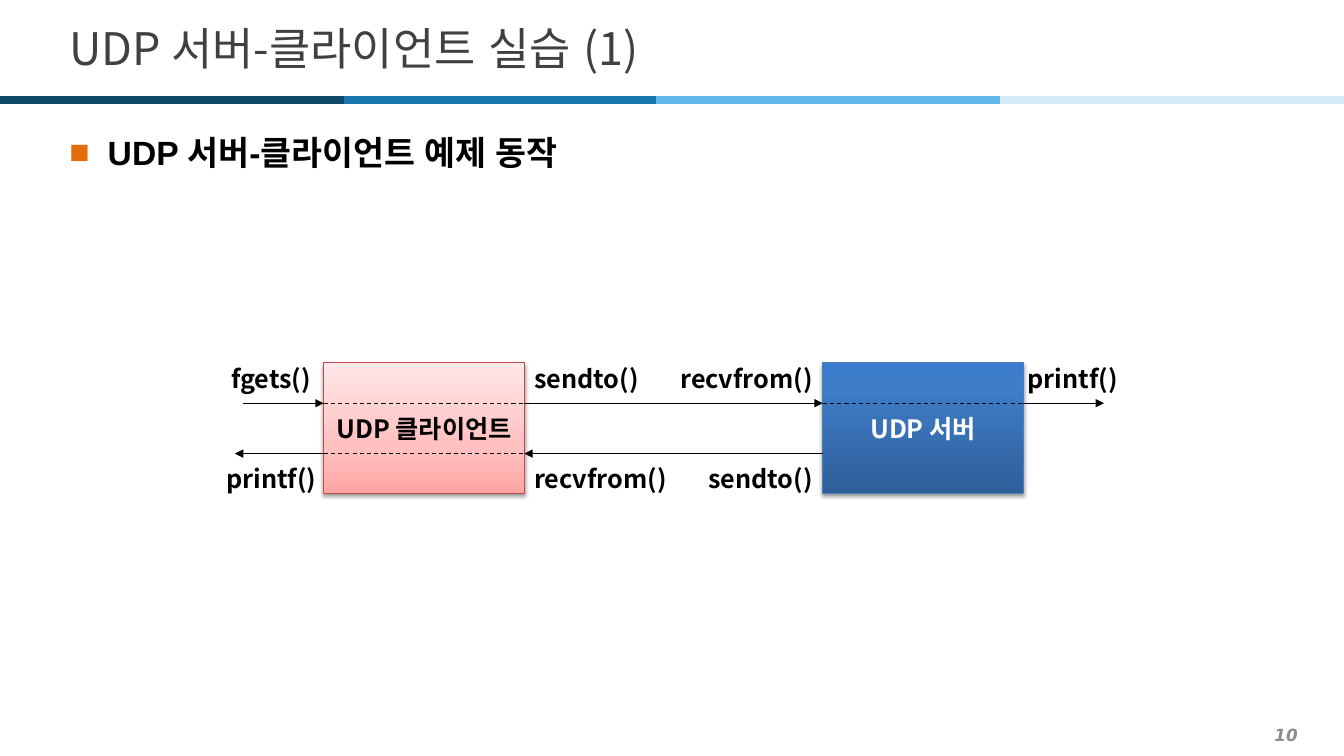
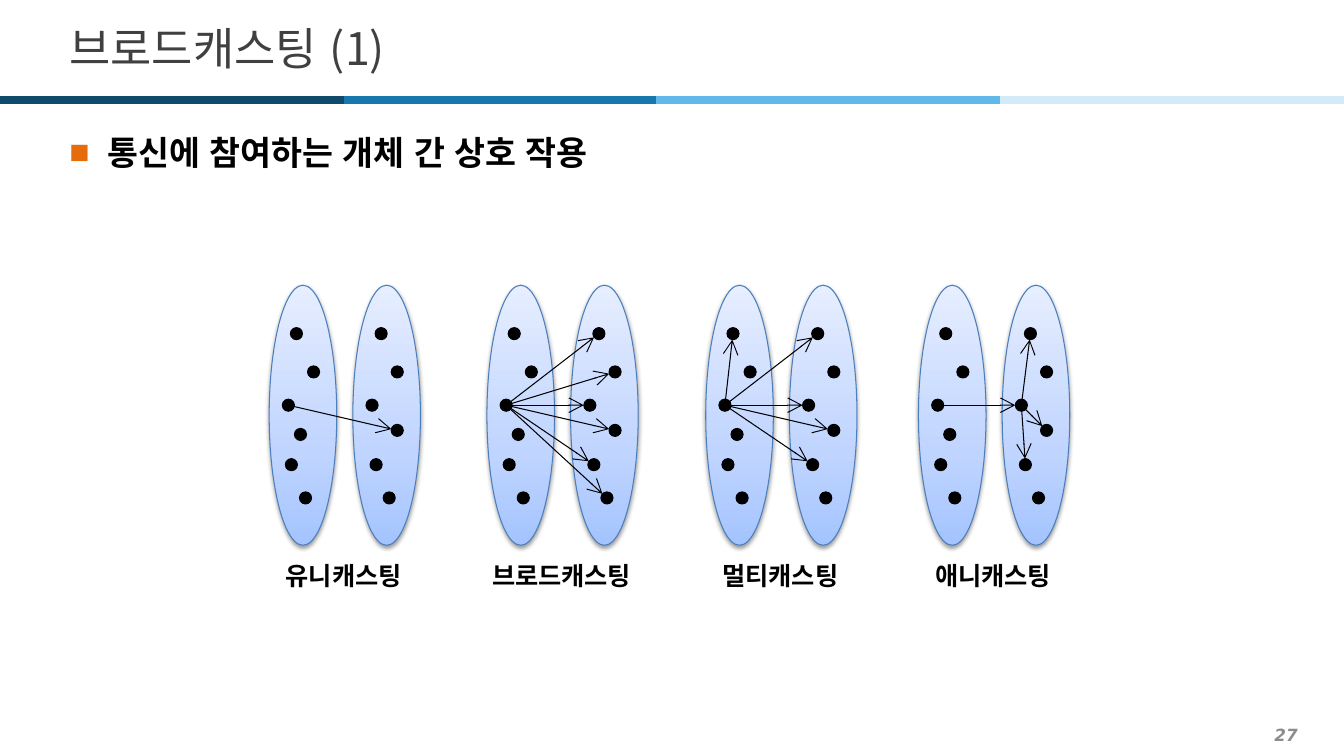
from math import hypot

from lxml.etree import SubElement
from pptx import Presentation
from pptx.dml.color import RGBColor
from pptx.enum.dml import MSO_LINE
from pptx.enum.shapes import MSO_CONNECTOR, MSO_SHAPE
from pptx.enum.text import MSO_ANCHOR as ANCHOR, PP_ALIGN as ALIGN
from pptx.oxml.ns import qn
from pptx.util import Inches, Pt

KOREAN = "Noto Sans CJK KR"

THEME = {
    "bands": ["0F4A6B", "1877AC", "61B8E9", "D3EBF9"],
    "bullet": "E46C0A",
    "ink": "000000",
    # Gradients run from bottom to top: (percent, colour)
    "client": {"stops": [(0, "FFA6A5"), (35, "FFC0BF"), (100, "FFE7E7")], "line": "BF4C48"},
    "server": {"stops": [(0, "2F5F99"), (80, "3D7CC7"), (100, "3A7CCB")], "line": "4B7EBC"},
    "group": {"stops": [(0, "A4C4FF"), (35, "BFD4FF"), (100, "E6EEFF")], "line": "4B7EBC"},
    "dot": {"solid": "000000", "line": "000000"},
    # Text styles: colour, East Asian font and font attributes
    "title": ("404040", "Arial", {"name": KOREAN, "size": Pt(32)}),
    "heading": ("000000", "Arial", {"name": "Arial", "size": Pt(24), "bold": True}),
    "label": ("000000", KOREAN, {"name": KOREAN, "size": Pt(18), "bold": True}),
    "label_light": ("FFFFFF", KOREAN, {"name": KOREAN, "size": Pt(18), "bold": True}),
    "number": ("8C8C8C", KOREAN,
               {"name": "DejaVu Sans", "size": Pt(12), "bold": True, "italic": True}),
}


def add_part(slide, box, preset=None, look=None, text="", style="label",
             align=ALIGN.CENTER, anchor=ANCHOR.MIDDLE, wrap=False):
    """Add a text box, or a preset shape with a look, and return it."""
    box = [Inches(length) for length in box]
    if preset is None:
        part = slide.shapes.add_textbox(*box)
    else:
        part = slide.shapes.add_shape(preset, *box)
        part.shadow.inherit = False
        part.line.color.rgb = RGBColor.from_string(look["line"])
        part.line.width = Pt(0.75)
        if "solid" in look:
            part.fill.solid()
            part.fill.fore_color.rgb = RGBColor.from_string(look["solid"])
        else:
            part.fill.gradient()
            part.fill.gradient_angle = 90
            stops = part._element.spPr.find(".//" + qn("a:gsLst"))
            for old_stop in list(stops):
                stops.remove(old_stop)
            for percent, colour in look["stops"]:
                stop = SubElement(stops, qn("a:gs"), pos=str(percent * 1000))
                SubElement(stop, qn("a:srgbClr"), val=colour)
            effects = part._element.spPr.find(qn("a:effectLst"))
            shadow = SubElement(effects, qn("a:outerShdw"), blurRad=str(Pt(3.1)),
                                dist=str(Pt(1.6)), dir="5400000", rotWithShape="0")
            tint = SubElement(shadow, qn("a:srgbClr"), val="000000")
            SubElement(tint, qn("a:alpha"), val="38000")
    if text:
        frame = part.text_frame
        frame.word_wrap = wrap
        frame.vertical_anchor = anchor
        paragraph = frame.paragraphs[0]
        paragraph.alignment = align
        run = paragraph.add_run()
        run.text = text
        colour, east_asian, font_values = THEME[style]
        for attribute, value in font_values.items():
            setattr(run.font, attribute, value)
        run.font.color.rgb = RGBColor.from_string(colour)
        SubElement(run._r.get_or_add_rPr(), qn("a:ea"), typeface=east_asian)
    return part


def add_line(slide, start, end, colour=THEME["ink"], width=0.75, arrow=None,
             arrow_size="med", dash=None):
    """Draw a straight line, with an optional arrowhead at its end."""
    ends = [Inches(length) for length in (*start, *end)]
    connector = slide.shapes.add_connector(MSO_CONNECTOR.STRAIGHT, *ends)
    connector.line.color.rgb = RGBColor.from_string(colour)
    connector.line.width = Pt(width)
    if dash:
        connector.line.dash_style = dash
    properties = connector._element.spPr
    if arrow:
        SubElement(properties.find(qn("a:ln")), qn("a:tailEnd"), type=arrow,
                   w=arrow_size, len=arrow_size)
    SubElement(properties, qn("a:effectLst"))


deck = Presentation()
deck.slide_width, deck.slide_height = Inches(13.33), Inches(7.5)

# Shared frame: number, colour bands, title and heading
BAND_EDGES = [0, 3.41, 6.51, 9.92, 13.33]
PAGES = [
    ("UDP 서버-클라이언트 실습 (1)", "UDP 서버-클라이언트 예제 동작", "10"),
    ("브로드캐스팅 (1)", "통신에 참여하는 개체 간 상호 작용", "27"),
]
slides = []
for title, heading, number in PAGES:
    slide = deck.slides.add_slide(deck.slide_layouts[6])
    slides.append(slide)
    add_part(slide, (0.2, 7.13, 12.77, 0.31), text=number, style="number",
             align=ALIGN.RIGHT, wrap=True)
    for left, right, colour in zip(BAND_EDGES, BAND_EDGES[1:], THEME["bands"]):
        add_line(slide, (left, 0.99), (right, 0.99), colour, width=6)
    add_part(slide, (0.59, 0.13, 12.21, 0.68), text=title, style="title",
             align=ALIGN.LEFT, wrap=True)
    body = add_part(slide, (0.59, 1.18, 12.21, 6.03), text=heading, style="heading",
                    align=ALIGN.LEFT, anchor=ANCHOR.TOP, wrap=True)
    paragraph = body.text_frame.paragraphs[0]
    paragraph.line_spacing = 1.2
    paragraph.space_after = Pt(2)
    indents = paragraph._p.get_or_add_pPr()
    indents.set("marL", str(Inches(0.38)))
    indents.set("indent", str(-Inches(0.38)))
    bullet_colour = SubElement(indents, qn("a:buClr"))
    SubElement(bullet_colour, qn("a:srgbClr"), val=THEME["bullet"])
    SubElement(indents, qn("a:buFont"), typeface="Arial")
    SubElement(indents, qn("a:buChar"), char="■")

exchange, casting = slides

# Client and server boxes
CLIENT_LEFT, CLIENT_RIGHT, SERVER_LEFT, SERVER_RIGHT = 3.21, 5.2, 8.16, 10.15
REQUEST_Y, REPLY_Y = 4, 4.5
for left, look, text, style in [
    (CLIENT_LEFT, "client", "UDP 클라이언트", "label"),
    (SERVER_LEFT, "server", "UDP 서버", "label_light"),
]:
    add_part(exchange, (left, 3.6, 1.99, 1.3), MSO_SHAPE.RECTANGLE, THEME[look], text, style)

# Messages between them, and the dashed paths inside the boxes
for y, start, end in [
    (REQUEST_Y, 2.41, CLIENT_LEFT),
    (REQUEST_Y, CLIENT_RIGHT, SERVER_LEFT),
    (REQUEST_Y, SERVER_RIGHT, 10.95),
    (REPLY_Y, SERVER_LEFT, CLIENT_RIGHT),
    (REPLY_Y, CLIENT_LEFT, 2.33),
]:
    add_line(exchange, (start, y), (end, y), arrow="triangle")
for y, start, end in [
    (REQUEST_Y, CLIENT_LEFT, CLIENT_RIGHT),
    (REPLY_Y, CLIENT_LEFT, CLIENT_RIGHT),
    (REQUEST_Y, SERVER_LEFT, SERVER_RIGHT),
]:
    add_line(exchange, (start, y), (end, y), dash=MSO_LINE.DASH)

# Function calls above the request and below the reply
CALL_WIDTH = 1.6
CALL_TOP = 3.5
SERVER_CALL_LEFT = SERVER_LEFT - CALL_WIDTH
for call, left, top, align in [
    ("fgets()", 1.89, CALL_TOP, ALIGN.CENTER),
    ("sendto()", CLIENT_RIGHT, CALL_TOP, ALIGN.LEFT),
    ("recvfrom()", SERVER_CALL_LEFT, CALL_TOP, ALIGN.RIGHT),
    ("printf()", 9.84, CALL_TOP, ALIGN.CENTER),
    ("printf()", 1.89, REPLY_Y, ALIGN.CENTER),
    ("recvfrom()", CLIENT_RIGHT, REPLY_Y, ALIGN.LEFT),
    ("sendto()", SERVER_CALL_LEFT, REPLY_Y, ALIGN.RIGHT),
]:
    add_part(exchange, (left, top, CALL_WIDTH, 0.5), text=call, align=align)

# Casting modes: two groups of six dots; arrows join (group, dot) pairs
SENDER = (0, 2)
MODES = [
    ("유니캐스팅", 2.67, [(SENDER, (1, 3))]),
    ("브로드캐스팅", 4.83, [(SENDER, (1, dot)) for dot in range(6)]),
    ("멀티캐스팅", 7, [(SENDER, (0, 0))] + [(SENDER, (1, dot)) for dot in (0, 2, 3, 4)]),
    ("애니캐스팅", 9.11, [(SENDER, (1, 2))] + [((1, 2), (1, dot)) for dot in (0, 3, 4)]),
]
GROUP_TOP, GROUP_STEP, DOT = 2.83, 0.83, 0.12
DOT_OFFSETS = [
    [(0.21, 0.42), (0.38, 0.8), (0.13, 1.13), (0.25, 1.42), (0.16, 1.72), (0.3, 2.05)],
    [(0.22, 0.42), (0.38, 0.8), (0.13, 1.13), (0.38, 1.38), (0.17, 1.72), (0.3, 2.05)],
]
for mode, mode_left, routes in MODES:
    centres = {}
    for group, offsets in enumerate(DOT_OFFSETS):
        left = mode_left + group * GROUP_STEP
        add_part(casting, (left, GROUP_TOP, 0.67, 2.58), MSO_SHAPE.OVAL, THEME["group"])
        for dot, (dx, dy) in enumerate(offsets):
            x, y = left + dx, GROUP_TOP + dy
            add_part(casting, (x, y, DOT, DOT), MSO_SHAPE.OVAL, THEME["dot"])
            centres[group, dot] = (x + DOT / 2, y + DOT / 2)
    for source, target in routes:
        (x1, y1), (x2, y2) = centres[source], centres[target]
        trim = DOT / 2 / hypot(x2 - x1, y2 - y1)  # stop at the edge of the dot
        add_line(casting, (x1, y1), (x2 - (x2 - x1) * trim, y2 - (y2 - y1) * trim),
                 arrow="arrow", arrow_size="lg")
    add_part(casting, (mode_left - 0.34, 5.5, 2.16, 0.42), text=mode)

deck.save("out.pptx")
